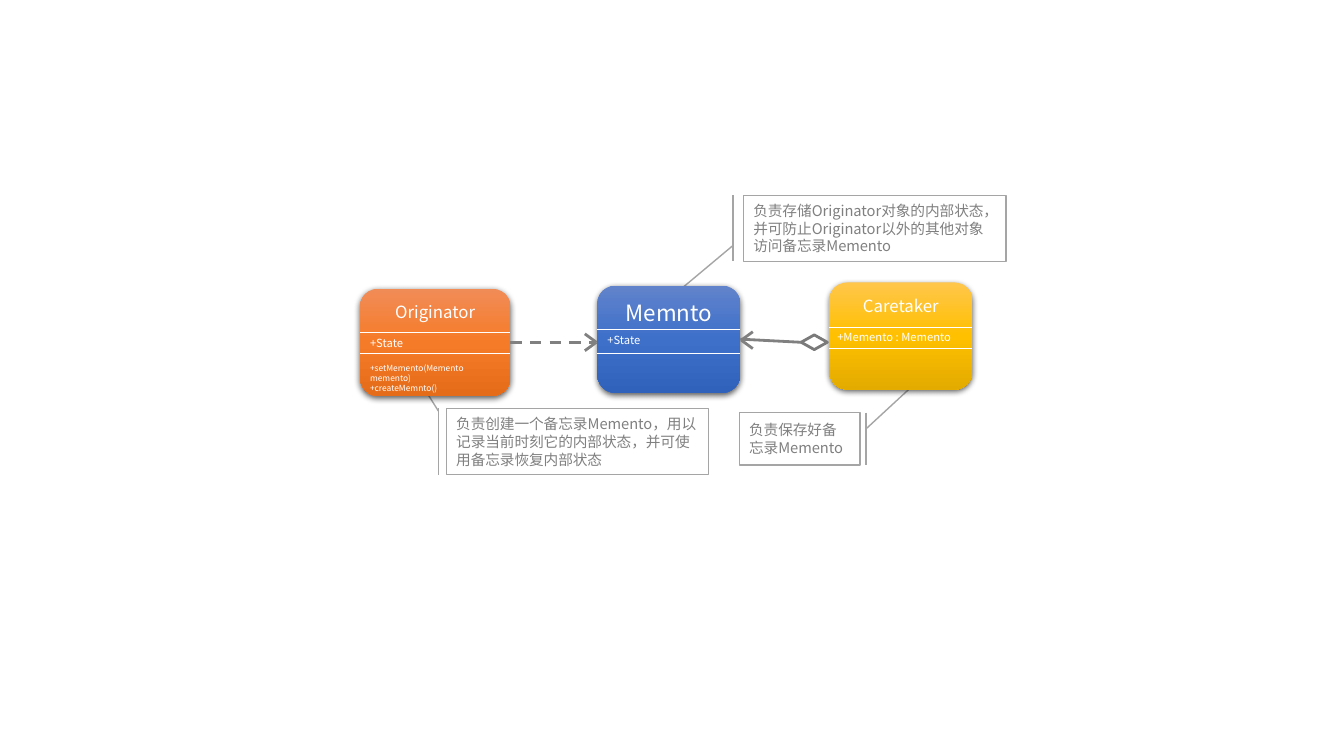
from copy import deepcopy

from lxml.etree import SubElement
from pptx import Presentation
from pptx.dml.color import RGBColor
from pptx.enum.dml import MSO_LINE
from pptx.enum.shapes import MSO_CONNECTOR, MSO_SHAPE
from pptx.enum.text import MSO_ANCHOR, MSO_AUTO_SIZE, PP_ALIGN
from pptx.oxml.ns import qn
from pptx.util import Emu, Pt

FONT = "Noto Sans CJK SC"
WHITE = RGBColor(0xFF, 0xFF, 0xFF)
GREY = RGBColor(0x80, 0x80, 0x80)
DIAMOND_GREY = RGBColor(0x7A, 0x7A, 0x7A)
NOTE_BORDER = RGBColor(0xA5, 0xA5, 0xA5)
ORANGES = (RGBColor(0xF1, 0x8C, 0x57), RGBColor(0xF6, 0x7B, 0x28), RGBColor(0xE5, 0x6C, 0x19))
BLUES = (RGBColor(0x61, 0x83, 0xCB), RGBColor(0x3E, 0x70, 0xCA), RGBColor(0x30, 0x62, 0xBB))
YELLOWS = (RGBColor(0xFF, 0xC6, 0x4B), RGBColor(0xFF, 0xC0, 0x00), RGBColor(0xE3, 0xAB, 0x00))
BOX_HEIGHT = 102


def px(value):
    return Emu(value * 9525)


def write_text(shape, lines, size, color, alignment=PP_ALIGN.LEFT):
    frame = shape.text_frame
    frame.word_wrap = True
    frame.text = "\n".join(lines)
    for paragraph in frame.paragraphs:
        paragraph.alignment = alignment
        font = paragraph.font
        font.name, font.size = FONT, Pt(size)
        font.color.rgb = color
    for properties in shape.element.iter(qn("a:defRPr")):
        SubElement(properties, qn("a:ea")).set("typeface", FONT)


def add_label(slide, left, top, width, height, lines, size, alignment=PP_ALIGN.LEFT):
    label = slide.shapes.add_textbox(px(left), px(top), px(width), px(height))
    write_text(label, lines, size, WHITE, alignment)
    label.text_frame.auto_size = MSO_AUTO_SIZE.SHAPE_TO_FIT_TEXT


def add_line(slide, start, end, color=GREY, weight=2):
    line = slide.shapes.add_connector(MSO_CONNECTOR.STRAIGHT, *map(px, start + end))
    line.line.color.rgb = color
    line.line.width = Pt(weight)
    SubElement(line.element.spPr, qn("a:effectLst"))
    return line


def add_arrow_head(slide, tip, direction):
    x, y = tip
    for rise in (-8, 8):
        add_line(slide, tip, (x - direction * 11, y + rise))


def add_note(slide, left, top, width, height, pointer, text):
    note = slide.shapes.add_shape(
        MSO_SHAPE.LINE_CALLOUT_1_BORDER_AND_ACCENT_BAR,
        px(left), px(top), px(width), px(height))
    for index, value in enumerate(pointer):
        note.adjustments[index] = value
    note.shadow.inherit = False
    note.fill.solid()
    note.fill.fore_color.rgb = WHITE
    note.line.color.rgb = NOTE_BORDER
    note.line.width = Pt(1)
    note.text_frame.vertical_anchor = MSO_ANCHOR.MIDDLE
    write_text(note, [text], 10.5, GREY)


def fill_gradient(shape, colors):
    shape.fill.gradient()
    shape.fill.gradient_angle = 270
    stop_list = next(shape.element.iter(qn("a:gsLst")))
    stop_list.append(deepcopy(stop_list[0]))
    for index, stop in enumerate(shape.fill.gradient_stops):
        stop.position = index / 2
        stop.color.rgb = colors[index]


def add_soft_shadow(shape):
    shape.shadow.inherit = False
    effects = shape.element.spPr.find(qn("a:effectLst"))
    shadow = SubElement(effects, qn("a:outerShdw"), blurRad=str(Pt(4.5)),
                        dist=str(Pt(1.5)), dir="5400000", algn="ctr", rotWithShape="0")
    black = SubElement(shadow, qn("a:srgbClr"), val="000000")
    SubElement(black, qn("a:alpha"), val="63000")


def add_class_box(slide, left, top, width, colors, name, name_size, attribute,
                  dividers, attribute_left, operations=()):
    box = slide.shapes.add_shape(MSO_SHAPE.ROUNDED_RECTANGLE,
                                 px(left), px(top), px(width), px(BOX_HEIGHT))
    fill_gradient(box, colors)
    box.line.fill.background()
    add_soft_shadow(box)
    for offset in dividers:
        add_line(slide, (left, top + offset), (left + width, top + offset), WHITE, 0.5)
    add_label(slide, left, top + 8, width, 29, [name], name_size, PP_ALIGN.CENTER)
    add_label(slide, attribute_left, top + 41, width, 23, [attribute], 8)
    if operations:
        add_label(slide, left, top + 66, width, 29, operations, 6)
    return box


def main():
    presentation = Presentation()
    presentation.slide_width, presentation.slide_height = px(1280), px(720)
    slide = presentation.slides.add_slide(presentation.slide_layouts[6])

    # Notes that explain each role
    add_note(slide, 708, 186, 250, 63, (0.763, -0.039, 1.594, -0.291) and (0.76, -0.04, 1.59, -0.29),
             "负责存储Originator对象的内部状态，并可防止Originator以外的其他对象访问备忘录Memento")
    add_note(slide, 704, 393, 115, 50, (0.31, 1.05, -0.54, 1.45),
             "负责保存好备忘录Memento")
    add_note(slide, 425, 389, 250, 63, (0.04, -0.03, -0.85, -0.17),
             "负责创建一个备忘录Memento，用以记录当前时刻它的内部状态，并可使用备忘录恢复内部状态")

    # Classes
    memento = add_class_box(slide, 569, 272, 136, BLUES, "Memnto", 16, "+State", (42, 65), 569)
    originator = add_class_box(slide, 343, 275, 143, ORANGES, "Originator", 12, "+State",
                               (42, 62), 343, ["+setMemento(Memento memento)", "+createMemnto()"])
    add_class_box(slide, 790, 269, 136, YELLOWS, "Caretaker", 12, "+Memento : Memento",
                  (43, 63), 788)

    # Dependency: Originator to Memento
    dependency = add_line(slide, (486, 326), (568, 326))
    dependency.line.dash_style = MSO_LINE.DASH
    dependency.begin_connect(originator, 3)
    add_arrow_head(slide, (568, 326), 1)

    # Aggregation: Caretaker holds Memento
    diamond = slide.shapes.add_shape(MSO_SHAPE.DIAMOND, px(763), px(319), px(25), px(14))
    diamond.shadow.inherit = False
    diamond.fill.background()
    diamond.line.color.rgb = DIAMOND_GREY
    diamond.line.width = Pt(2)
    aggregation = add_line(slide, (705, 323), (763, 326))
    aggregation.begin_connect(memento, 3)
    aggregation.end_connect(diamond, 1)
    add_arrow_head(slide, (706, 324), -1)

    presentation.save("out.pptx")


if __name__ == "__main__":
    main()
